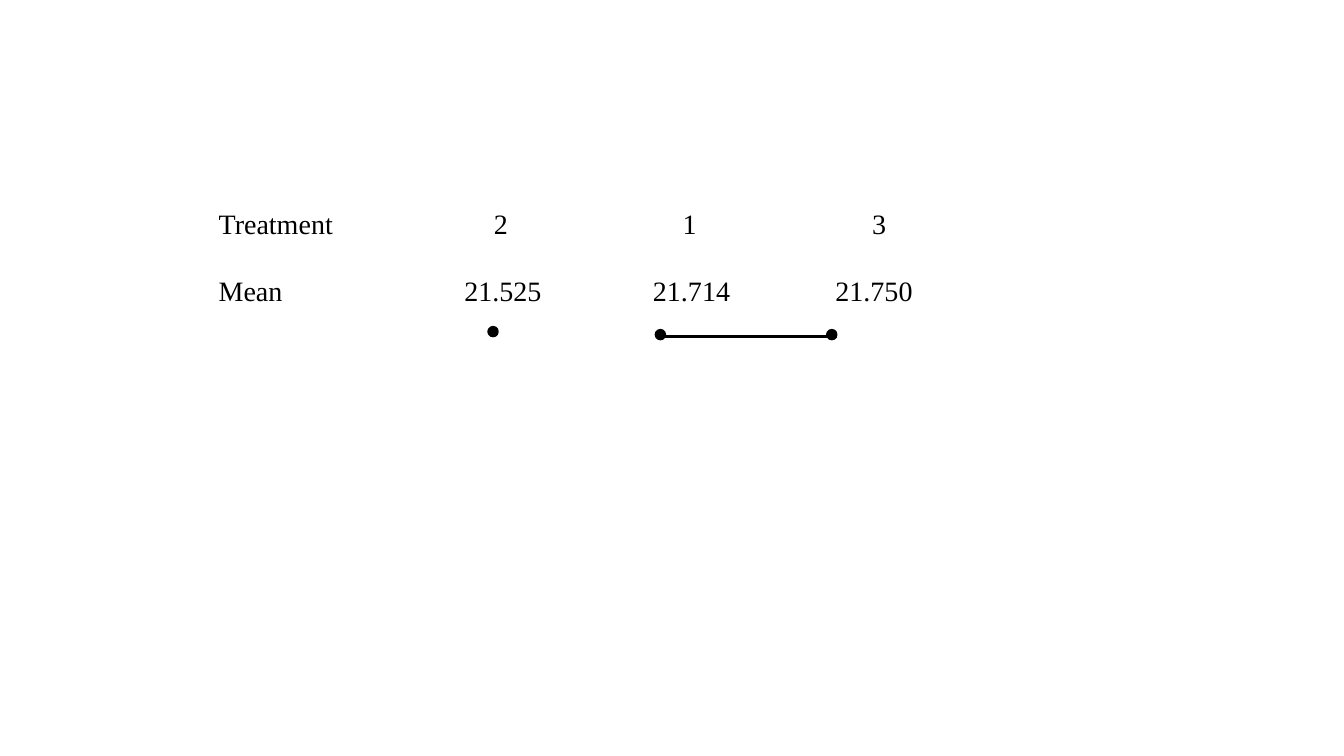
from lxml import etree
from pptx import Presentation
from pptx import util as u
from pptx.dml.color import RGBColor
from pptx.enum import shapes, text
from pptx.oxml import ns

PX = 9144
BLACK = RGBColor(0, 0, 0)
WHITE = RGBColor(255, 255, 255)
FONT = "Times New Roman"
DOT_SIZE = 10
ROWS = [
    (["Treatment", "2", "1", "3"], [280, 467, 655]),
    (["Mean", "21.525", "21.714", "21.750"], [282, 469, 650]),
]
DOTS = [(484, 324), (650, 327), (820, 327)]


def px(*lengths):
    return [u.Emu(length * PX) for length in lengths]


def add_centre_tabs(paragraph, positions):
    properties = paragraph._p.get_or_add_pPr()
    tabs = etree.SubElement(properties, ns.qn("a:tabLst"))
    for position in positions:
        etree.SubElement(tabs, ns.qn("a:tab"), pos=str(position * PX), algn="ctr")


def add_rows(slide, left, top, width, height):
    frame = slide.shapes.add_textbox(*px(left, top, width, height)).text_frame
    frame.word_wrap = True
    frame.auto_size = text.MSO_AUTO_SIZE.SHAPE_TO_FIT_TEXT
    for index, (values, tab_positions) in enumerate(ROWS):
        paragraph = frame.add_paragraph() if index else frame.paragraphs[0]
        paragraph.text = "\t".join(values)
        add_centre_tabs(paragraph, tab_positions)
        paragraph.space_before = u.Pt(24 * index)
        paragraph.font.name = FONT
        paragraph.font.size = u.Pt(20)
        paragraph.font.color.rgb = BLACK


def add_dot(slide, left, top):
    shape = slide.shapes.add_shape(
        shapes.MSO_SHAPE.OVAL, *px(left, top, DOT_SIZE, DOT_SIZE))
    shape.shadow.inherit = False
    shape.fill.solid()
    shape.fill.fore_color.rgb = BLACK
    shape.line.color.rgb = BLACK
    shape.line.width = u.Pt(1)


def add_line(slide, start_x, start_y, end_x, end_y):
    line = slide.shapes.add_connector(
        shapes.MSO_CONNECTOR.STRAIGHT, *px(start_x, start_y, end_x, end_y))
    line.line.color.rgb = BLACK
    line.line.width = u.Pt(2.25)
    etree.SubElement(line._element.spPr, ns.qn("a:effectLst"))


def main():
    presentation = Presentation()
    presentation.slide_width, presentation.slide_height = px(1333, 750)
    slide = presentation.slides.add_slide(presentation.slide_layouts[6])
    slide.background.fill.solid()
    slide.background.fill.fore_color.rgb = WHITE
    add_rows(slide, 207, 200, 919, 111)
    add_line(slide, 653, 334, 830, 334)
    for left, top in DOTS:
        add_dot(slide, left, top)
    presentation.save("out.pptx")


if __name__ == "__main__":
    main()
